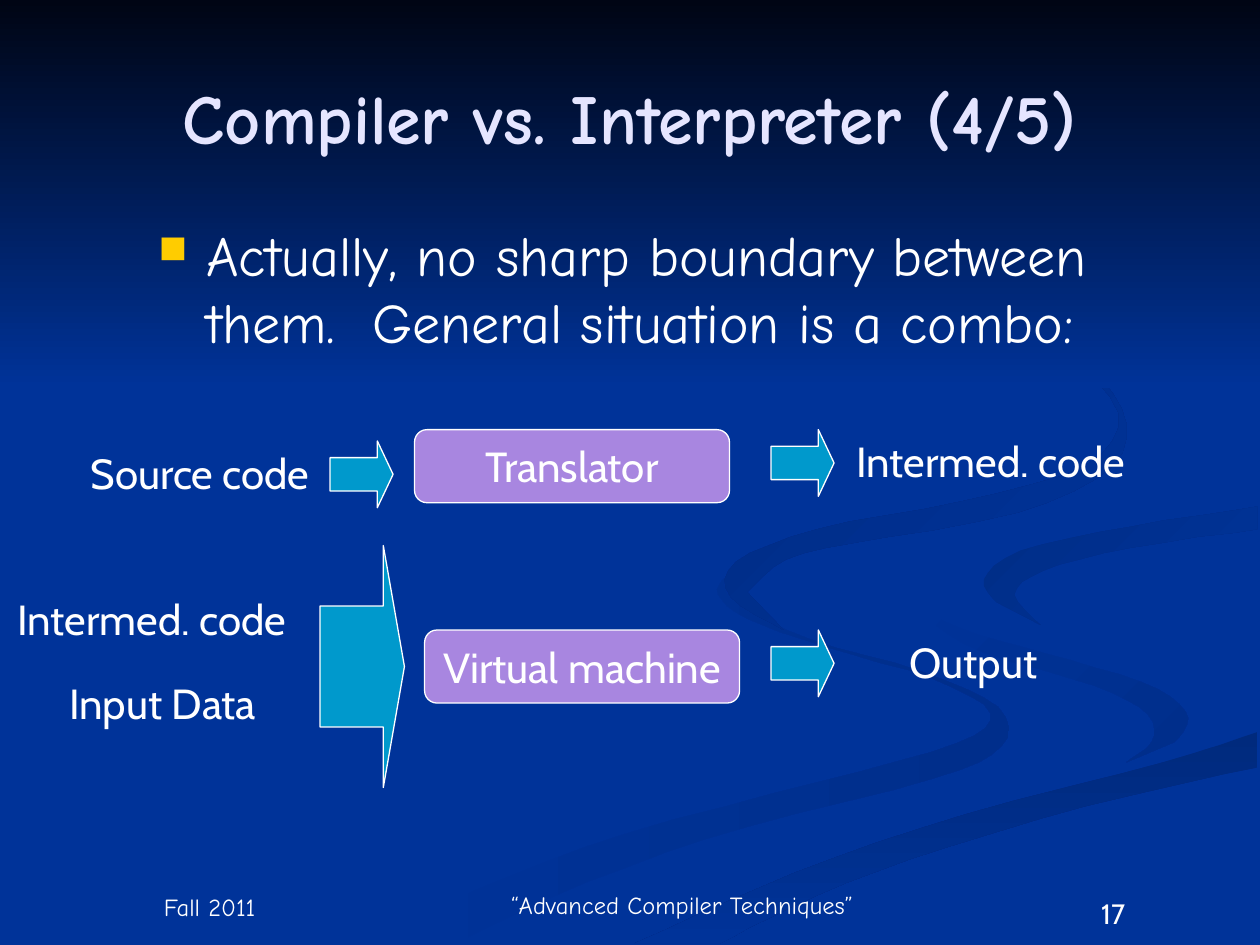
from dataclasses import dataclass
from itertools import chain

from lxml import etree
from pptx import Presentation
from pptx.dml.color import RGBColor
from pptx.enum.shapes import MSO_SHAPE
from pptx.enum.text import MSO_ANCHOR, PP_ALIGN
from pptx.oxml.ns import qn
from pptx.util import Pt

PX = 9144  # one px is a hundredth of an inch
SLIDE_WIDTH, SLIDE_HEIGHT = 1000, 750
CURVE_STEPS = 4

RECTANGLE = MSO_SHAPE.RECTANGLE
ROUNDED = MSO_SHAPE.ROUNDED_RECTANGLE
ARROW = MSO_SHAPE.RIGHT_ARROW
LEFT, CENTER = PP_ALIGN.LEFT, PP_ALIGN.CENTER
TOP, MIDDLE, BOTTOM = MSO_ANCHOR.TOP, MSO_ANCHOR.MIDDLE, MSO_ANCHOR.BOTTOM

SANS, COMIC = "Cabin", "Comic Neue"
COLORS = {
    "background": "003399",
    "night": "000514",
    "title": "E5E5FF",
    "text": "FFFFFF",
    "bullet": "FFCC00",
    "box": "A886E0",
    "arrow": "0099CC",
    "left_shade": "002E8B",
    "band_shade": "002A7D",
    "right_shade": "002D86",
    "top_shade": "002B82",
}

Point = tuple[int, int]


@dataclass
class Ribbon:
    start: str
    end: str
    angle: int
    edges: list[list[Point]]  # smooth edges that meet in corners


@dataclass
class Label:
    text: str
    left: int
    top: int
    width: int
    height: int
    size: int = 24
    font: str = SANS
    color: str = "text"
    align: int = LEFT
    anchor: int = TOP
    bold: bool = False


@dataclass
class Block:
    kind: int
    left: int
    top: int
    width: int
    height: int
    color: str
    adjustments: tuple[float, ...]
    text: str = ""


# Background ribbons, from back to front
RIBBONS = [
    Ribbon("background", "left_shade", 0, [
        [(575, 459), (570, 472), (593, 491), (654, 513), (741, 539), (786, 566),
         (759, 590), (652, 620), (499, 661), (376, 707), (300, 749)],
        [(361, 749), (466, 700), (594, 656), (740, 618), (795, 592), (792, 561),
         (731, 533), (642, 507), (583, 477), (575, 459)]]),
    Ribbon("background", "left_shade", 45, [
        [(724, 464), (733, 488), (781, 518), (868, 544), (911, 567), (914, 589), (894, 605)],
        [(932, 589), (943, 570), (919, 547), (850, 524), (774, 503), (733, 483), (724, 464)]]),
    Ribbon("band_shade", "background", 90, [
        [(503, 749), (630, 693), (764, 647), (920, 606), (998, 581)],
        [(998, 609), (861, 640), (722, 682), (630, 719), (571, 749)]]),
    Ribbon("right_shade", "background", 45, [
        [(998, 420), (896, 435), (828, 453), (805, 472), (826, 496)],
        [(791, 478), (781, 460), (810, 437), (898, 418), (998, 402)]]),
    Ribbon("top_shade", "background", 45, [
        [(683, 430), (807, 407), (883, 370), (890, 324), (843, 275), (762, 233)],
        [(846, 279), (888, 328), (861, 370), (763, 398), (649, 420), (584, 446),
         (580, 474), (622, 500)],
        [(593, 470), (624, 444), (683, 430)]]),
]

LABELS = [
    Label("17", 800, 707, 167, 40, size=16, align=CENTER),
    Label("Fall 2011", 50, 700, 233, 36, 14, COMIC, align=CENTER, anchor=BOTTOM),
    Label("“Advanced Compiler Techniques”", 383, 700, 317, 35, 14, COMIC,
          align=CENTER, anchor=BOTTOM),
    Label("Compiler vs. Interpreter (4/5)", 50, 30, 900, 125, 40, COMIC, "title",
          CENTER, MIDDLE, True),
    Label("Source code", 62, 350, 225, 50),
    Label("Intermed. code", 670, 341, 267, 50),
    Label("Intermed. code", 4, 466, 267, 50),
    Label("Input Data", 45, 533, 183, 90),
    Label("Output", 712, 500, 142, 50),
]
STATEMENT = Label("Actually, no sharp boundary between them.  General situation is a combo:",
                  116, 170, 850, 450, 32, COMIC)

BLOCKS = [
    Block(ROUNDED, 329, 341, 250, 58, "box", (0.17,), "Translator"),
    Block(ROUNDED, 337, 500, 250, 58, "box", (0.17,), "Virtual machine"),
] + [
    Block(ARROW, left, top, 50, 53, "arrow", (0.5, 0.25))
    for left, top in [(262, 350), (612, 341), (612, 500)]
] + [Block(ARROW, 254, 433, 67, 192, "arrow", (0.5, 0.25))]


def rgb(name: str) -> RGBColor:
    return RGBColor.from_string(COLORS[name])


def smooth(edge: list[Point]) -> list[Point]:
    """Run a Catmull-Rom curve through the points of an edge."""
    padded = [edge[0], *edge, edge[-1]]
    curve = [edge[0]]
    for a, b, c, d in zip(padded, padded[1:], padded[2:], padded[3:]):
        for step in range(1, CURVE_STEPS + 1):
            t = step / CURVE_STEPS
            curve.append(tuple(
                round(q + t / 2 * (r - p + t * (2*p - 5*q + 4*r - s + t * (3*q - 3*r + s - p))))
                for p, q, r, s in zip(a, b, c, d)))
    return curve


def paint_gradient(shape, start: str, end: str, angle: int) -> None:
    """Fill a shape from start to end, with a clockwise angle and no outline."""
    shape.shadow.inherit = False
    shape.line.fill.background()
    shape.fill.gradient()
    shape.fill.gradient_angle = -angle % 360
    for stop, name in zip(shape.fill.gradient_stops, (start, end)):
        stop.color.rgb = rgb(name)


def draw_ribbon(shapes, ribbon: Ribbon) -> None:
    first, *others = chain.from_iterable(smooth(edge) for edge in ribbon.edges)
    builder = shapes.build_freeform(*first, scale=PX)
    builder.add_line_segments(others, close=True)
    paint_gradient(builder.convert_to_shape(), ribbon.start, ribbon.end, ribbon.angle)


def write_text(frame, label: Label):
    frame.vertical_anchor = label.anchor
    paragraph = frame.paragraphs[0]
    paragraph.alignment = label.align
    run = paragraph.add_run()
    run.text = label.text
    run.font.size = Pt(label.size)
    run.font.name = label.font
    run.font.bold = label.bold
    run.font.color.rgb = rgb(label.color)
    return paragraph


def draw_label(shapes, label: Label):
    place = (label.left, label.top, label.width, label.height)
    frame = shapes.add_textbox(*(PX * length for length in place)).text_frame
    frame.word_wrap = True
    return write_text(frame, label)


def add_bullet(paragraph, indent: int) -> None:
    properties = paragraph._p.get_or_add_pPr()
    properties.set("marL", str(indent * PX))
    properties.set("indent", str(-indent * PX))
    color = etree.SubElement(properties, qn("a:buClr"))
    etree.SubElement(color, qn("a:srgbClr"), val=COLORS["bullet"])
    etree.SubElement(properties, qn("a:buSzPct"), val="70000")
    etree.SubElement(properties, qn("a:buChar"), char="■")


def draw_block(shapes, block: Block) -> None:
    place = (block.left, block.top, block.width, block.height)
    shape = shapes.add_shape(block.kind, *(PX * length for length in place))
    for index, value in enumerate(block.adjustments):
        shape.adjustments[index] = value
    shape.shadow.inherit = False
    shape.fill.solid()
    shape.fill.fore_color.rgb = rgb(block.color)
    shape.line.color.rgb = rgb("text")
    shape.line.width = Pt(0.75)
    if block.text:
        shape.text_frame.word_wrap = False
        write_text(shape.text_frame, Label(block.text, *place, align=CENTER, anchor=MIDDLE))


def main() -> None:
    presentation = Presentation()
    presentation.slide_width = SLIDE_WIDTH * PX
    presentation.slide_height = SLIDE_HEIGHT * PX
    slide = presentation.slides.add_slide(presentation.slide_layouts[6])
    # Background
    slide.background.fill.solid()
    slide.background.fill.fore_color.rgb = rgb("background")
    for ribbon in RIBBONS:
        draw_ribbon(slide.shapes, ribbon)
    sky = slide.shapes.add_shape(RECTANGLE, 0, 0, SLIDE_WIDTH * PX, 308 * PX)
    paint_gradient(sky, "night", "background", 90)
    # Text, then the diagram blocks
    for label in LABELS:
        draw_label(slide.shapes, label)
    add_bullet(draw_label(slide.shapes, STATEMENT), 38)
    for block in BLOCKS:
        draw_block(slide.shapes, block)
    presentation.save("out.pptx")


if __name__ == "__main__":
    main()
